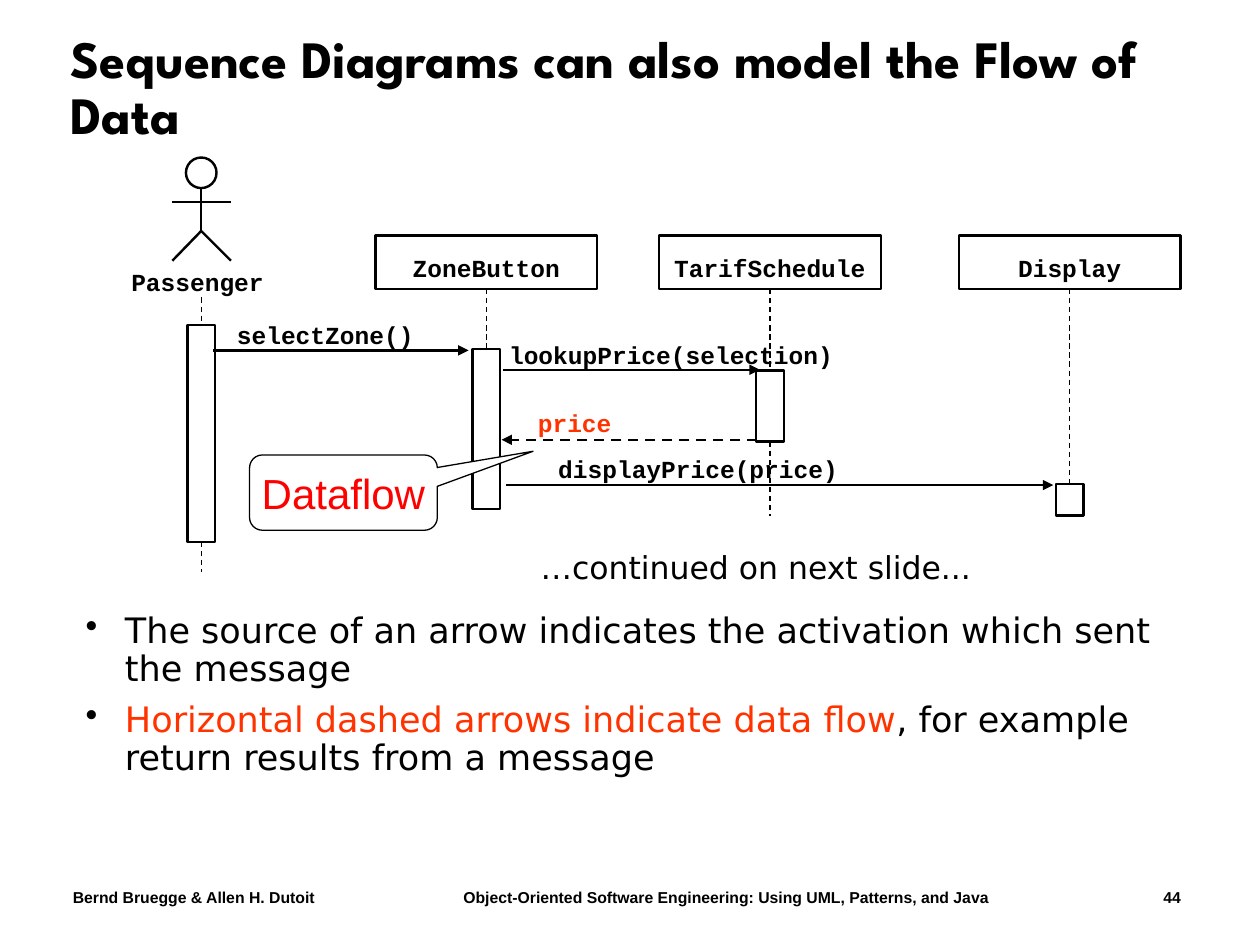
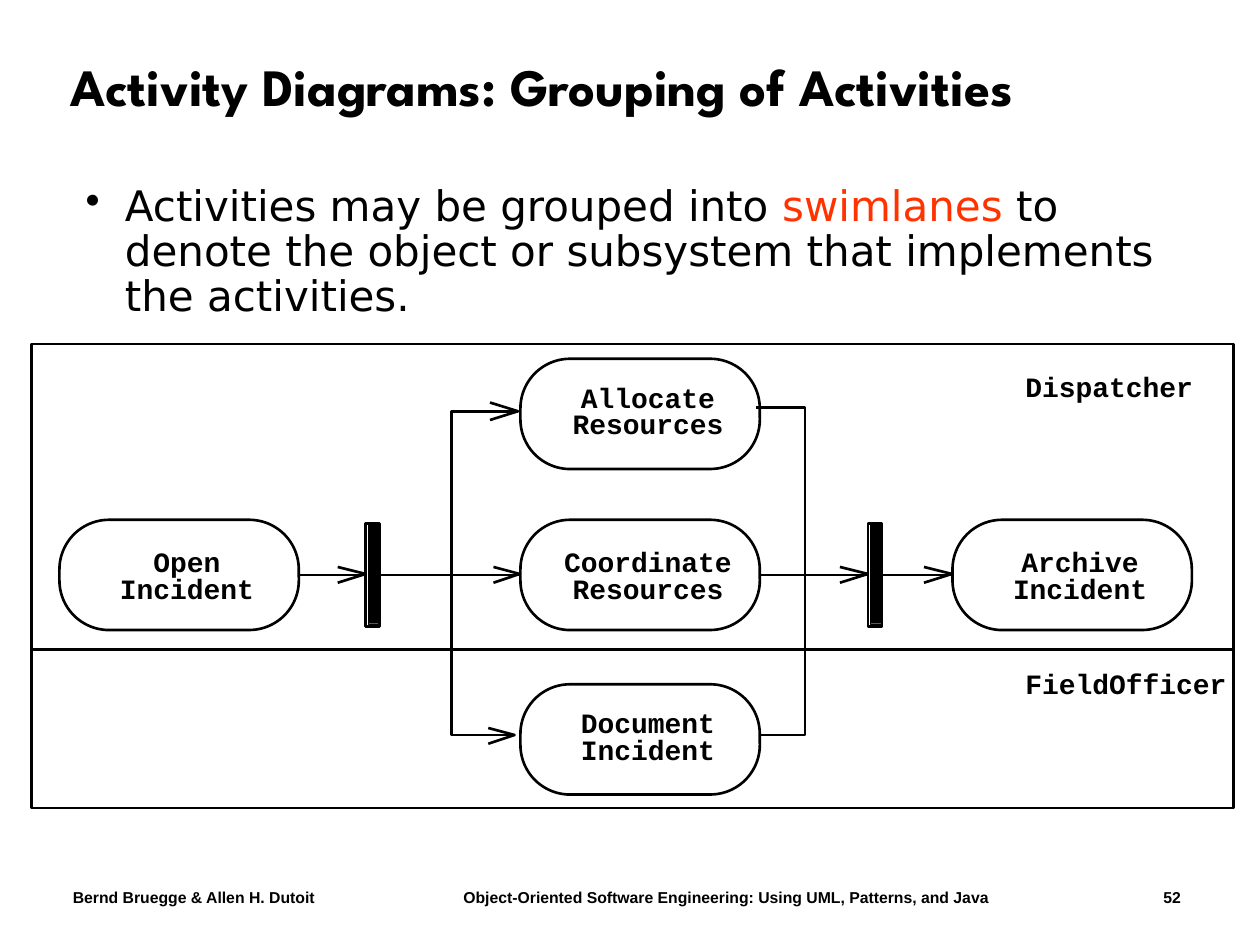
from lxml import etree
from pptx import Presentation
from pptx.dml.color import RGBColor
from pptx.enum import dml, shapes, text
from pptx.oxml.ns import qn
from pptx.util import Pt


class Theme:
    black = RGBColor(0, 0, 0)
    white = RGBColor(255, 255, 255)
    accent = RGBColor(0xFF, 0x33, 0x00)
    red = RGBColor(0xFF, 0x00, 0x00)
    title = {"name": "League Spartan", "size": Pt(30), "bold": True}
    footer = {"name": "Arial", "size": Pt(9), "bold": True}
    callout = {"name": "Arial", "size": Pt(24), "bold": False}
    note = {"name": "DejaVu Sans", "size": Pt(18), "bold": False}
    message = {"name": "Courier New", "size": Pt(14), "bold": True}
    activity = {"name": "Courier New", "size": Pt(16), "bold": True}
    inset = (7.2, 3.6, 7.2, 3.6)
    thin, medium, thick = 0.75, 1.39, 1.5


KIND = shapes.MSO_SHAPE
STRAIGHT = shapes.MSO_CONNECTOR.STRAIGHT
LEFT, CENTER = text.PP_ALIGN.LEFT, text.PP_ALIGN.CENTER
TOP, MIDDLE = text.MSO_ANCHOR.TOP, text.MSO_ANCHOR.MIDDLE


def write(shape, paragraphs, style, inset=(0, 0, 0, 0), align=LEFT, anchor=TOP, wrap=True, spacing=None):
    """Fill a shape with paragraphs, each a list of (text, colour) runs."""
    frame = shape.text_frame
    frame_format = dict(zip(("margin_left", "margin_top", "margin_right", "margin_bottom"), map(Pt, inset)))
    frame_format.update(word_wrap=wrap, vertical_anchor=anchor, auto_size=text.MSO_AUTO_SIZE.NONE)
    for name, value in frame_format.items():
        setattr(frame, name, value)
    for index, runs in enumerate(paragraphs):
        paragraph = frame.add_paragraph() if index else frame.paragraphs[0]
        paragraph.alignment = align
        paragraph.line_spacing = spacing
        for words, color in runs:
            run = paragraph.add_run()
            run.text = words
            run.font.color.rgb = color
            for name, value in style.items():
                setattr(run.font, name, value)
    return frame


def outline(shape, width, fill=None, dashed=False, arrow=False):
    """Give a shape or connector a black line, no shadow and, if it has an inside, a fill."""
    if hasattr(shape, "fill"):
        if fill is None:
            shape.fill.background()
        else:
            shape.fill.solid()
            shape.fill.fore_color.rgb = fill
    shape.line.color.rgb = Theme.black
    shape.line.width = Pt(width)
    if dashed:
        shape.line.dash_style = dml.MSO_LINE.DASH
    properties = shape._element.spPr
    if arrow:
        etree.SubElement(properties.find(qn("a:ln")), qn("a:tailEnd"), type="triangle")
    etree.SubElement(properties, qn("a:effectLst"))
    return shape


presentation = Presentation()
presentation.slide_width, presentation.slide_height = Pt(720), Pt(540)

# Title, bullets and footer of both slides
pages = [
    ("Sequence Diagrams can also model the Flow of Data", "44", (347, 132), 20, [
        [("The source of an arrow indicates the activation which sent the message", Theme.black)],
        [("Horizontal dashed arrows indicate data flow", Theme.accent),
         (", for example return results from a message", Theme.black)],
    ]),
    ("Activity Diagrams: Grouping of Activities", "52", (102.2, 94), 24, [
        [("Activities may be grouped into ", Theme.black), ("swimlanes", Theme.accent),
         (" to denote the object or subsystem that implements the activities.", Theme.black)],
    ]),
]
for title, number, (body_top, body_height), body_size, bullets in pages:
    slide = presentation.slides.add_slide(presentation.slide_layouts[5])
    heading = slide.shapes.title
    heading.left, heading.top, heading.width, heading.height = Pt(33), Pt(17.3), Pt(642), Pt(67.7)
    write(heading, [[(title, Theme.black)]], Theme.title, Theme.inset, anchor=MIDDLE, spacing=0.9)

    body = slide.shapes.add_textbox(Pt(41.8), Pt(body_top), Pt(630), Pt(body_height))
    body_style = {"name": "DejaVu Sans", "size": Pt(body_size), "bold": False}
    frame = write(body, bullets, body_style, Theme.inset, spacing=0.9)
    for index, paragraph in enumerate(frame.paragraphs):
        if index:
            paragraph.space_before = Pt(7.5)
        properties = paragraph._p.get_or_add_pPr()
        properties.set("marL", str(Pt(22.5)))
        properties.set("indent", str(Pt(-22.5)))
        bullet_color = etree.SubElement(properties, qn("a:buClr"))
        etree.SubElement(bullet_color, qn("a:srgbClr"), val=str(Theme.black))
        etree.SubElement(properties, qn("a:buChar"), char="•")

    footer = slide.shapes.add_textbox(Pt(34.5), Pt(504), Pt(650), Pt(18))
    words = ("Bernd Bruegge & Allen H. Dutoit\t"
             "Object-Oriented Software Engineering: Using UML, Patterns, and Java\t" + number)
    frame = write(footer, [[(words, Theme.black)]], Theme.footer, Theme.inset)
    tabs = etree.SubElement(frame.paragraphs[0]._p.get_or_add_pPr(), qn("a:tabLst"))
    for position, align in ((373.2, "ctr"), (633.2, "r")):
        etree.SubElement(tabs, qn("a:tab"), pos=str(Pt(position)), algn=align)

sequence, swimlanes = (slide.shapes for slide in presentation.slides)

# Sequence diagram: the actor
actor_x = 115
limbs = [
    (actor_x, 102, actor_x, 132),
    (actor_x, 132, actor_x - 16.5, 149),
    (actor_x, 132, actor_x + 17, 149),
    (actor_x - 16.5, 115.5, actor_x + 17, 115.5),
]
for limb in limbs:
    outline(sequence.add_connector(STRAIGHT, *map(Pt, limb)), Theme.medium)
head = sequence.add_shape(KIND.OVAL, Pt(actor_x - 8.75), Pt(90), Pt(17.5), Pt(17.5))
outline(head, Theme.medium, Theme.white)

# Participants: centre, activation top and height, end of the lifeline
participants = [
    ("Passenger", actor_x, 185.8, 123.8, 327),
    ("ZoneButton", 278, 199.4, 91.4, None),
    ("TarifSchedule", 440, 211.7, 40.7, 295),
    ("Display", 611.3, 276.5, 18, None),
]
for name, center, top, height, lifeline_end in participants:
    activation = sequence.add_shape(KIND.RECTANGLE, Pt(center - 7.9), Pt(top), Pt(15.8), Pt(height))
    outline(activation, Theme.medium, Theme.white)
    lifeline = sequence.add_connector(STRAIGHT, Pt(center), Pt(170), Pt(center), Pt(top))
    if name == "Passenger":
        label = sequence.add_textbox(Pt(75), Pt(152.6), Pt(75.6), Pt(16.6))
        write(label, [[(name, Theme.black)]], Theme.message, wrap=False)
    else:
        box = sequence.add_shape(KIND.RECTANGLE, Pt(center - 63.35), Pt(134.5), Pt(126.7), Pt(30.8))
        outline(box, Theme.medium)
        write(box, [[(name, Theme.black)]], Theme.message, (0, 6, 0, 0), CENTER, MIDDLE, wrap=False)
        lifeline.begin_connect(box, 2)
    lifeline.end_connect(activation, 0)
    outline(lifeline, Theme.thin, dashed=True)
    if lifeline_end:
        rest = sequence.add_connector(STRAIGHT, Pt(center), Pt(top + height), Pt(center), Pt(lifeline_end))
        rest.begin_connect(activation, 2)
        outline(rest, Theme.thin, dashed=True)

# Messages: label position, then arrow start, end and height
messages = [
    ("selectZone()", 135.4, 182.9, 121.7, 267.8, 200.2),
    ("lookupPrice(selection)", 290.9, 194.4, 287.3, 434.2, 211.3),
    ("displayPrice(price)", 319, 259.2, 289.4, 601.9, 277.2),
    ("price", 307.4, 233.3, 432.7, 286.6, 251.3),
]
for name, label_left, label_top, start, end, y in messages:
    returns_data = end < start
    arrow = sequence.add_connector(STRAIGHT, Pt(start), Pt(y), Pt(end), Pt(y))
    outline(arrow, Theme.medium, dashed=returns_data, arrow=True)
    label = sequence.add_textbox(Pt(label_left), Pt(label_top), Pt(8.4 * len(name)), Pt(16.6))
    color = Theme.accent if returns_data else Theme.black
    write(label, [[(name, color)]], Theme.message, wrap=False)

callout = sequence.add_shape(KIND.ROUNDED_RECTANGULAR_CALLOUT, Pt(142.6), Pt(260), Pt(107.3), Pt(43))
for index, value in enumerate((1.01, -0.55, 0.17)):
    callout.adjustments[index] = value
outline(callout, Theme.thin, Theme.white)
write(callout, [[("Dataflow", Theme.red)]], Theme.callout, Theme.inset, CENTER, MIDDLE, wrap=False)
note = sequence.add_textbox(Pt(208), Pt(309.6), Pt(448), Pt(28.8))
write(note, [[("…continued on next slide...", Theme.black)]], Theme.note, Theme.inset, CENTER, MIDDLE)

# Activity diagram: the lanes
for name, top, height, label_inset in (("Dispatcher", 196.6, 174.4, 14.4), ("FieldOfficer", 371, 90.7, 10)):
    lane = swimlanes.add_shape(KIND.RECTANGLE, Pt(18), Pt(top), Pt(687), Pt(height))
    outline(lane, Theme.thick)
    write(lane, [[(name, Theme.black)]], Theme.activity, (568, label_inset, 0, 0))

# Activities: left, top and the lowering of the label
middle_y = 328.5
activities = {
    "Open Incident": (34, 297, 4),
    "Allocate Resources": (297.4, 205, 0),
    "Coordinate Resources": (297.4, 297, 4),
    "Document Incident": (297.4, 391, 0),
    "Archive Incident": (544.3, 297, 4),
}
nodes = {}
for name, (left, top, lowering) in activities.items():
    node = swimlanes.add_shape(KIND.ROUNDED_RECTANGLE, Pt(left), Pt(top), Pt(136.8), Pt(63))
    node.adjustments[0] = 0.45
    outline(node, Theme.thick)
    write(node, [[(word, Theme.black)] for word in name.split()], Theme.activity,
          (9, lowering, 0, 0), CENTER, MIDDLE, wrap=False, spacing=Pt(15.2))
    nodes[name] = node

for name, left in (("fork", 208.8), ("join", 496)):
    core = swimlanes.add_shape(KIND.RECTANGLE, Pt(left + 1.5), Pt(299), Pt(6.5), Pt(57.5))
    outline(core, 0.25, Theme.black)
    nodes[name] = swimlanes.add_shape(KIND.RECTANGLE, Pt(left), Pt(299), Pt(8), Pt(59))
    outline(nodes[name], Theme.thick)

# Flows: straight steps, brackets and open arrowheads
steps = ["Open Incident", "fork", "Coordinate Resources", "join", "Archive Incident"]
for source, target in zip(steps, steps[1:]):
    flow = swimlanes.add_connector(STRAIGHT, 0, 0, 0, 0)
    flow.begin_connect(nodes[source], 3)
    flow.end_connect(nodes[target], 1)
    outline(flow, Theme.thick)

upper_y, lower_y = 234.8, 420.5
routes = [
    [(296, upper_y), (258.5, upper_y), (258.5, lower_y), (294.5, lower_y)],
    [(431.5, 233.3), (460, 233.3), (460, lower_y), (433.5, lower_y)],
]
tips = [(nodes[target].left.pt, middle_y) for target in steps[1:]]
for x, y in tips + [(296, upper_y), (294.5, lower_y)]:
    routes.append([(x - 15.8, y - 4.7), (x, y), (x - 15.8, y + 4.7)])
for start, *others in routes:
    builder = swimlanes.build_freeform(*start, scale=Pt(1))
    builder.add_line_segments(others, close=False)
    outline(builder.convert_to_shape(), Theme.thick)

presentation.save("out.pptx")
